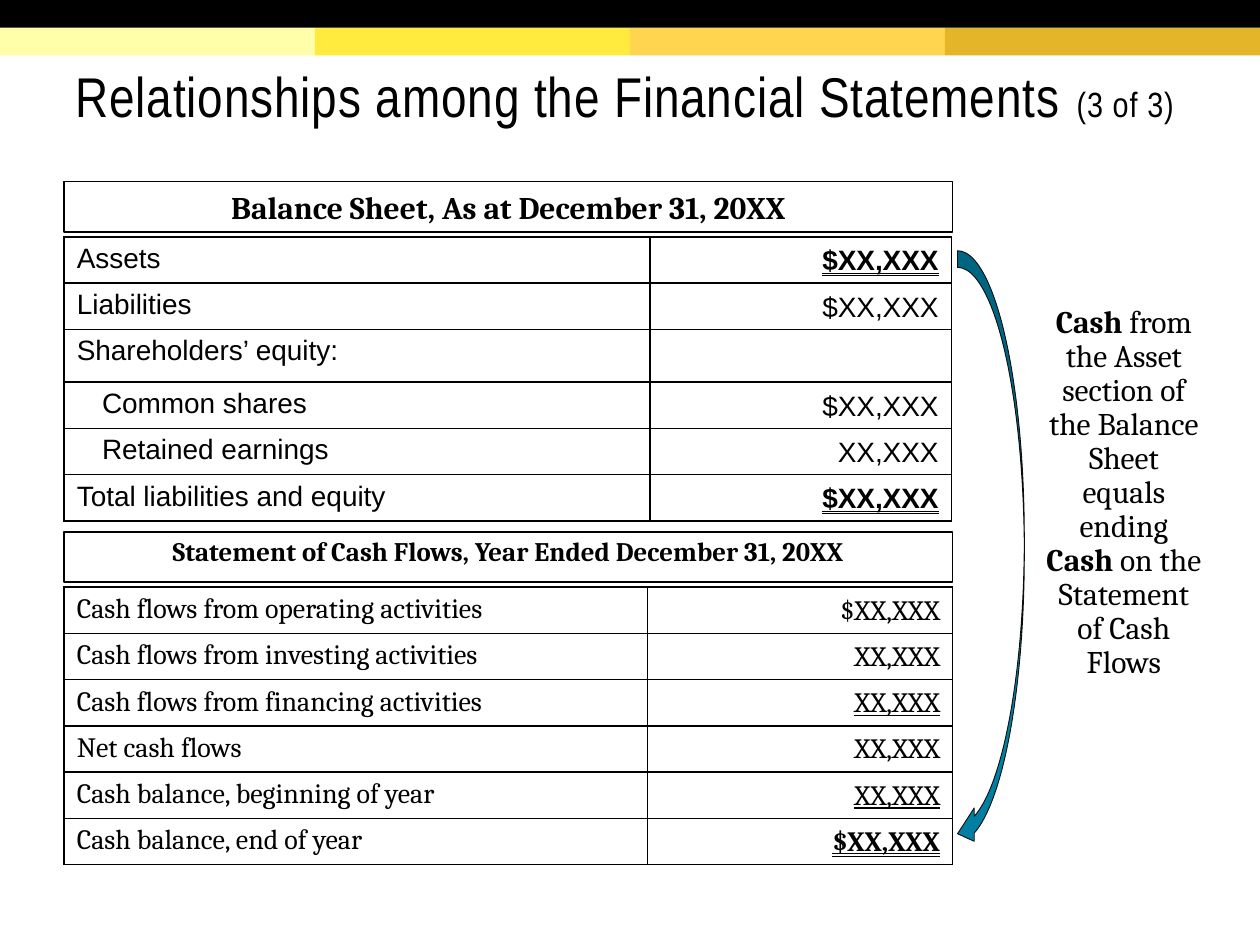
from lxml import etree
from pptx import Presentation
from pptx.dml.color import RGBColor
from pptx.enum import shapes, text
from pptx.oxml.ns import qn
from pptx.util import Inches, Pt

BLACK = RGBColor(0, 0, 0)
TEAL = RGBColor(0x00, 0x7F, 0xA3)
ARROW_EDGE = RGBColor(0x0C, 0x0C, 0x0C)
BANDS = [RGBColor(0xFF, 0xFF, 0xAA), RGBColor(0xFF, 0xEA, 0x3D),
         RGBColor(0xFF, 0xD5, 0x4F), RGBColor(0xE4, 0xB4, 0x29)]

SINGLE = {"underline": True}
TOTAL = {"bold": True, "underline": text.MSO_UNDERLINE.DOUBLE_LINE}

# Each row: label, amount, amount format, label indent
BALANCE_SHEET = [
    ("Assets", "$XX,XXX", TOTAL, 0),
    ("Liabilities", "$XX,XXX", {}, 0),
    ("Shareholders’ equity:", "", {}, 0),
    ("Common shares", "$XX,XXX", {}, 0.2),
    ("Retained earnings", "XX,XXX", {}, 0.2),
    ("Total liabilities and equity", "$XX,XXX", TOTAL, 0),
]
CASH_FLOWS = [
    ("Cash flows from operating activities", "$XX,XXX", {}, 0),
    ("Cash flows from investing activities", "XX,XXX", {}, 0),
    ("Cash flows from financing activities", "XX,XXX", SINGLE, 0),
    ("Net cash flows", "XX,XXX", {}, 0),
    ("Cash balance, beginning of year", "XX,XXX", SINGLE, 0),
    ("Cash balance, end of year", "$XX,XXX", TOTAL, 0),
]


def add_span(para, words, font, size, **formats):
    span = para.add_run()
    span.text = words
    span.font.color.rgb = BLACK
    for name, value in {"name": font, "size": Pt(size), **formats}.items():
        setattr(span.font, name, value)
    return span


def add_shape(page, kind, at, fill=None, line=None, width=1):
    shape = page.shapes.add_shape(kind, *map(Inches, at))
    shape.shadow.inherit = False
    if fill is None:
        shape.fill.background()
    else:
        shape.fill.solid()
        shape.fill.fore_color.rgb = fill
    if line is None:
        shape.line.fill.background()
    else:
        shape.line.color.rgb = line
        shape.line.width = Pt(width)
    return shape


def add_text(page, at, anchor, align, spacing):
    box = page.shapes.add_textbox(*map(Inches, at))
    box.text_frame.word_wrap = True
    box.text_frame.vertical_anchor = anchor
    para = box.text_frame.paragraphs[0]
    para.alignment = align
    para.line_spacing = spacing
    return box.text_frame, para


def add_heading(page, top, words, size, spacing):
    box = add_shape(page, shapes.MSO_SHAPE.RECTANGLE, (0.51, top, 7.05, 0.4), line=BLACK)
    box.text_frame.word_wrap = True
    box.text_frame.vertical_anchor = text.MSO_ANCHOR.TOP
    para = box.text_frame.paragraphs[0]
    para.alignment = text.PP_ALIGN.CENTER
    para.line_spacing = spacing
    add_span(para, words, "Cambria", size, bold=True)


def set_borders(cell):
    properties = cell._tc.get_or_add_tcPr()
    for place, side in enumerate(("lnL", "lnR", "lnT", "lnB")):
        line = etree.Element(qn(f"a:{side}"), w=str(Pt(1)))
        fill = etree.SubElement(line, qn("a:solidFill"))
        etree.SubElement(fill, qn("a:srgbClr"), val=str(BLACK))
        properties.insert(place, line)


def add_statement(page, top, rows, widths, heights, font):
    at = (0.51, top, sum(widths), sum(heights))
    table = page.shapes.add_table(len(rows), 2, *map(Inches, at)).table
    table.first_row = table.horz_banding = False
    for column, width in zip(table.columns, widths):
        column.width = Inches(width)
    for row, height, (label, amount, formats, indent) in zip(table.rows, heights, rows):
        row.height = Inches(height)
        for cell in row.cells:
            cell.fill.background()
            set_borders(cell)
        label_cell, amount_cell = row.cells
        para = label_cell.text_frame.paragraphs[0]
        add_span(para, label, font, 16)
        if indent:
            para._p.get_or_add_pPr().set("marL", str(Inches(indent)))
        if amount:
            amount_cell.vertical_anchor = text.MSO_ANCHOR.BOTTOM
            para = amount_cell.text_frame.paragraphs[0]
            para.alignment = text.PP_ALIGN.RIGHT
            add_span(para, amount, font, 16, **formats)


def main():
    deck = Presentation()
    deck.slide_width, deck.slide_height = Inches(10), Inches(7.5)
    page = deck.slides.add_slide(deck.slide_layouts[6])

    # Colour bands along the top
    rectangle = shapes.MSO_SHAPE.RECTANGLE
    for index, color in enumerate(BANDS):
        add_shape(page, rectangle, (2.5 * index, 0.22, 2.5, 0.22), color)
    add_shape(page, rectangle, (0, 0, 10, 0.22), BLACK)

    # Title
    frame, para = add_text(page, (0.5, 0.24, 9.07, 1.07), text.MSO_ANCHOR.MIDDLE,
                           text.PP_ALIGN.LEFT, 0.85)
    frame.margin_top = Inches(0.1)
    for words, size in (("Relationships among the Financial Statements ", 32),
                        ("(3 of 3)", 20)):
        span = add_span(para, words, "Arial Narrow", size)
        span.font._element.set("spc", "50")

    # Balance sheet
    add_heading(page, 1.44, "Balance Sheet, As at December 31, 20XX", 18, 1)
    add_statement(page, 1.88, BALANCE_SHEET, (4.65, 2.39),
                  (0.35, 0.35, 0.42, 0.35, 0.35, 0.35), "Arial")

    # Statement of cash flows
    add_heading(page, 4.22, "Statement of Cash Flows, Year Ended December 31, 20XX", 15.3, 0.9)
    add_statement(page, 4.66, CASH_FLOWS, (4.63, 2.42), (0.36,) * 6, "Cambria")

    # Arrow from assets to ending cash, with its explanation
    add_shape(page, shapes.MSO_SHAPE.CURVED_LEFT_ARROW, (7.6, 1.99, 0.53, 4.76),
              TEAL, ARROW_EDGE, 0.5)
    _, para = add_text(page, (8.2, 2.38, 1.44, 3.67), text.MSO_ANCHOR.TOP,
                       text.PP_ALIGN.CENTER, 0.9)
    for words, bold in (
            ("Cash", True),
            (" from the Asset section of the Balance Sheet equals ending ", False),
            ("Cash", True),
            (" on the Statement of Cash Flows", False)):
        add_span(para, words, "Cambria", 18, bold=bold)

    deck.save("out.pptx")


if __name__ == "__main__":
    main()
